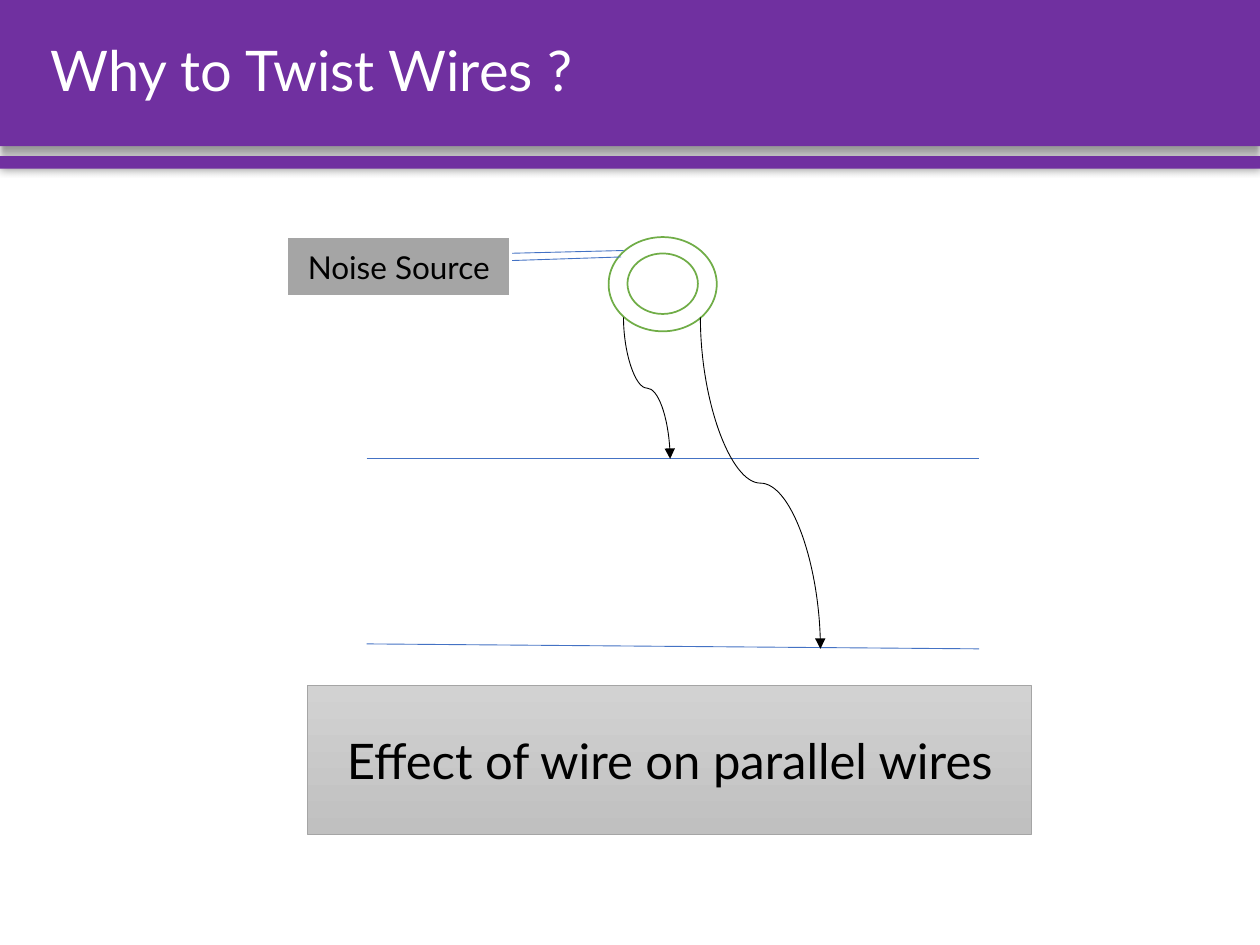
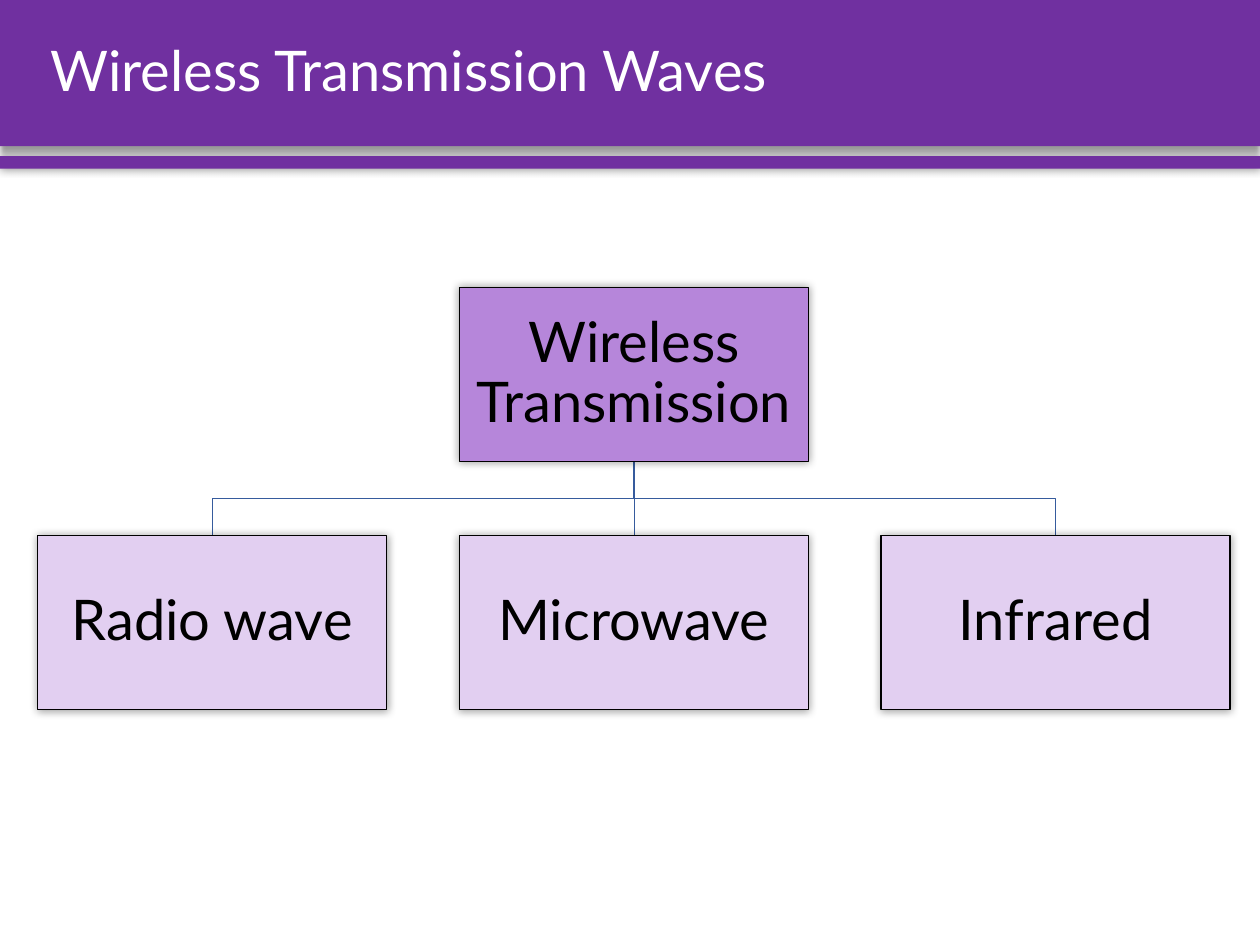
import pptx
import pptx.util
import pptx.dml.color
import pptx.enum.dml
import pptx.enum.shapes
import pptx.enum.text
import pptx.oxml
import pptx.oxml.ns
from dataclasses import dataclass

Cm, Pt = pptx.util.Cm, pptx.util.Pt
Kind = pptx.enum.shapes.MSO_SHAPE
Link = pptx.enum.shapes.MSO_CONNECTOR
Align = pptx.enum.text.PP_ALIGN
qn = pptx.oxml.ns.qn
NS = 'xmlns:a="http://schemas.openxmlformats.org/drawingml/2006/main"'


@dataclass(frozen=True)
class Theme:
    font: str = "Lato"
    band: str = "7030A0"
    root: str = "B686DA"
    leaf: str = "E2CFF1"
    white: str = "FFFFFF"
    black: str = "000000"
    gray: str = "A5A5A5"
    fade: tuple = ("D2D2D2", "C0C0C0")
    green: str = "70AD47"
    blue: str = "4472C4"
    navy: str = "365B9D"
    title: int = 32
    large: int = 28
    small: int = 18
    hair: float = 0.5


T = Theme()
WIDE, HIGH = 25.4, 19.05
BAND = 2.95


def rgb(code):
    return pptx.dml.color.RGBColor.from_string(code)


def put(item, form):
    """Set each format value on the item."""
    for name, value in form.items():
        setattr(item, name, value)


def stroke(line, color, width):
    line.color.rgb = rgb(color)
    line.width = Pt(width)


# Text

def write(shape, text, size, color, align=Align.CENTER, inset=None, space=1.0):
    frame = shape.text_frame
    frame.text = text
    put(frame, {"word_wrap": True,
                "vertical_anchor": pptx.enum.text.MSO_ANCHOR.MIDDLE})
    if inset is not None:
        sides = ("left", "right", "top", "bottom")
        put(frame, {f"margin_{side}": Cm(inset) for side in sides})
    para = frame.paragraphs[0]
    put(para, {"alignment": align, "line_spacing": space, "space_before": Pt(0)})
    put(para.runs[0].font, {"name": T.font, "size": Pt(size)})
    para.runs[0].font.color.rgb = rgb(color)


# Shapes

def block(slide, kind, spot, fill, edge=None, width=T.hair):
    """Add a preset shape; a pair of fill colours makes a downward fade."""
    shape = slide.shapes.add_shape(kind, *map(Cm, spot))
    shape.shadow.inherit = False
    if isinstance(fill, tuple):
        shape.fill.gradient()
        shape.fill.gradient_angle = 270
        for stop, color in zip(shape.fill.gradient_stops, fill):
            stop.color.rgb = rgb(color)
    else:
        shape.fill.solid()
        shape.fill.fore_color.rgb = rgb(fill)
    if edge:
        stroke(shape.line, edge, width)
    else:
        shape.line.fill.background()
    return shape


def shade(shape, blur, dist=0, angle=0):
    """Cast a soft black shadow."""
    glow = pptx.oxml.parse_xml(
        f'<a:outerShdw {NS} blurRad="{Pt(blur)}" dist="{Pt(dist)}" '
        f'dir="{angle * 60000}" algn="ctr" rotWithShape="0">'
        f'<a:srgbClr val="{T.black}"><a:alpha val="40000"/></a:srgbClr>'
        '</a:outerShdw>')
    shape.element.spPr.find(qn("a:effectLst")).append(glow)


# Lines

def wire(slide, start, end, color, kind=Link.STRAIGHT):
    link = slide.shapes.add_connector(kind, *map(Cm, (*start, *end)))
    stroke(link.line, color, T.hair)
    link.element.spPr.append(pptx.oxml.parse_xml(f"<a:effectLst {NS}/>"))
    return link


def curve(slide, start, end):
    """Add a curved arrow that leaves and arrives upright."""
    (x1, y1), (x2, y2) = start, end
    mid_x, mid_y = (x1 + x2) / 2, (y1 + y2) / 2
    half_w, half_h = (y2 - y1) / 2, (x2 - x1) / 2
    # The frame lies on its side, then turns about its centre
    link = wire(slide, (mid_x + half_w, mid_y - half_h),
                (mid_x - half_w, mid_y + half_h), T.black, Link.CURVE)
    props = link.element.spPr
    props.find(qn("a:xfrm")).set("rot", str(270 * 60000))
    props.find(qn("a:ln")).append(
        pptx.oxml.parse_xml(f'<a:tailEnd {NS} type="triangle"/>'))


def branch(slide, start, end, color):
    """Join two points with an upright step, or a plain line if aligned."""
    if start[0] == end[0]:
        wire(slide, start, end, color)
        return
    mid = (start[1] + end[1]) / 2
    steps = [(start[0], mid), (end[0], mid), end]
    pen = slide.shapes.build_freeform(Cm(start[0]), Cm(start[1]))
    pen.add_line_segments([(Cm(x), Cm(y)) for x, y in steps], close=False)
    shape = pen.convert_to_shape()
    shape.shadow.inherit = False
    shape.fill.background()
    stroke(shape.line, color, T.hair)


# Shared frame

def dress(layout, slide):
    """Draw the two bands and place them on the layout, at the back."""
    thin = block(slide, Kind.RECTANGLE, (0, 3.15, WIDE, 0.25), T.band)
    shade(thin, 5)
    thick = block(slide, Kind.RECTANGLE, (0, 0, WIDE, BAND), T.band)
    shade(thick, 4, 3, 90)
    for band in (thin, thick):
        layout.shapes.element.insert(2, band.element)


def head(slide, text):
    title = slide.shapes.title
    put(title, {"left": Cm(0.76), "top": Cm(0),
                "width": Cm(24.03), "height": Cm(BAND)})
    write(title, text, T.title, T.white, Align.LEFT, space=0.9)


# Slides

def twist(slide):
    head(slide, "Why to Twist Wires ?")
    note = block(slide, Kind.RECTANGLE, (6.2, 13.82, 14.6, 3), T.fade, T.gray)
    write(note, "Effect of wire on parallel wires", T.large, T.black)

    # Noise coil, its leads and the parallel wires
    for spot in ((12.27, 4.78, 2.18, 1.9), (12.65, 5.11, 1.42, 1.22)):
        block(slide, Kind.OVAL, spot, T.white, T.green, 1)
    for start, end in (((7.39, 9.25), (19.74, 9.25)),
                       ((7.39, 12.98), (19.74, 13.08)),
                       ((10.13, 5.11), (12.57, 5.05)),
                       ((10.08, 5.26), (12.52, 5.18))):
        wire(slide, start, end, T.blue)
    label = block(slide, Kind.RECTANGLE, (5.79, 4.78, 4.5, 1.19),
                  T.gray, T.white, 1.5)
    write(label, "Noise Source", T.small, T.black)

    # Noise reaching each wire
    curve(slide, (12.57, 6.4), (13.51, 9.25))
    curve(slide, (14.12, 6.4), (16.54, 13.08))


def node(slide, left, top, size, text, fill):
    box = block(slide, Kind.RECTANGLE, (left, top, *size), fill, T.black, 0.75)
    shade(box, 5)
    write(box, text, T.title, T.black, inset=0.05, space=0.9)


def waves(slide):
    head(slide, "Wireless Transmission Waves")
    size = wide, high = 7.04, 3.51
    left, pitch, top, low = 0.76, 8.5, 5.79, 10.8
    kinds = ("Radio wave", "Microwave", "Infrared")
    spots = [left + pitch * i for i in range(len(kinds))]
    stem = spots[1] + wide / 2

    for x in spots:
        branch(slide, (stem, top + high), (x + wide / 2, low), T.navy)
    node(slide, spots[1], top, size, "Wireless Transmission", T.root)
    for x, text in zip(spots, kinds):
        node(slide, x, low, size, text, T.leaf)


def main():
    deck = pptx.Presentation()
    put(deck, {"slide_width": Cm(WIDE), "slide_height": Cm(HIGH)})
    layout = deck.slide_layouts[5]
    first, second = (deck.slides.add_slide(layout) for _ in range(2))
    dress(layout, first)
    twist(first)
    waves(second)
    deck.save("out.pptx")


if __name__ == "__main__":
    main()
